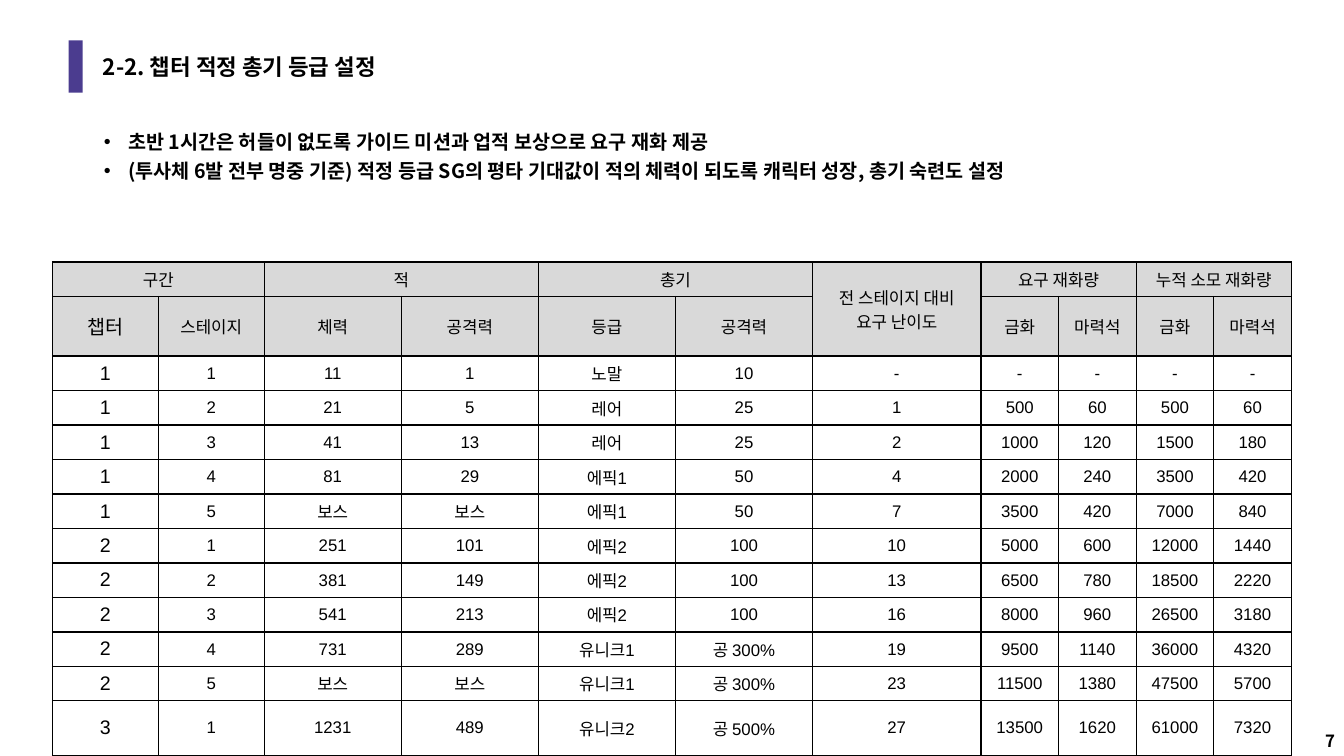
"""Builds the slide on recommended gun grades per chapter."""
from dataclasses import dataclass

from lxml.etree import SubElement
from pptx import Presentation
from pptx.dml.color import RGBColor as RGB
from pptx.enum.shapes import MSO_SHAPE as Shape
from pptx.enum.text import MSO_ANCHOR as Anchor, MSO_AUTO_SIZE as AutoSize, PP_ALIGN as Align
from pptx.oxml import parse_xml
from pptx.oxml.ns import nsdecls, qn
from pptx.util import Inches, Pt


@dataclass(frozen=True)
class Theme:
    black: RGB = RGB(0x00, 0x00, 0x00)
    accent: RGB = RGB(0x4B, 0x3C, 0x8F)
    header: RGB = RGB(0xD9, 0xD9, 0xD9)
    border: str = "000000"
    korean: str = "Noto Sans CJK KR"
    latin: str = "Arial"
    title: int = 20
    bullet: int = 14
    chapter: int = 14
    cell: int = 12
    page: int = 12


@dataclass(frozen=True)
class Box:
    left: float
    top: float
    width: float
    height: float

    def emu(self) -> tuple:
        return tuple(Inches(v) for v in (self.left, self.top, self.width, self.height))


@dataclass(frozen=True)
class Group:
    text: str
    col: int
    rows: int = 1
    cols: int = 2


THEME = Theme()
BULLETS = [
    "초반 1시간은 허들이 없도록 가이드 미션과 업적 보상으로 요구 재화 제공",
    "(투사체 6발 전부 명중 기준) 적정 등급 SG의 평타 기대값이 적의 체력이 되도록 캐릭터 성장, 총기 숙련도 설정",
]
GROUPS = [
    Group("구간", 0),
    Group("적", 2),
    Group("총기", 4),
    Group("전 스테이지 대비 요구 난이도", 6, rows=2, cols=1),
    Group("요구 재화량", 7),
    Group("누적 소모 재화량", 9),
]
COLUMNS = ["챕터", "스테이지", "체력", "공격력", "등급", "공격력", "",
           "금화", "마력석", "금화", "마력석"]
STAGES = [
    (1, 1, 11, 1, "노말", 10, "-", "-", "-", "-", "-"),
    (1, 2, 21, 5, "레어", 25, 1, 500, 60, 500, 60),
    (1, 3, 41, 13, "레어", 25, 2, 1000, 120, 1500, 180),
    (1, 4, 81, 29, "에픽1", 50, 4, 2000, 240, 3500, 420),
    (1, 5, "보스", "보스", "에픽1", 50, 7, 3500, 420, 7000, 840),
    (2, 1, 251, 101, "에픽2", 100, 10, 5000, 600, 12000, 1440),
    (2, 2, 381, 149, "에픽2", 100, 13, 6500, 780, 18500, 2220),
    (2, 3, 541, 213, "에픽2", 100, 16, 8000, 960, 26500, 3180),
    (2, 4, 731, 289, "유니크1", "공 300%", 19, 9500, 1140, 36000, 4320),
    (2, 5, "보스", "보스", "유니크1", "공 300%", 23, 11500, 1380, 47500, 5700),
    (3, 1, 1231, 489, "유니크2", "공 500%", 27, 13500, 1620, 61000, 7320),
]
COL_WIDTHS = [1.05] * 2 + [1.36] * 4 + [1.67] + [0.77] * 4
ROW_HEIGHTS = [0.34, 0.59] + [0.34] * (len(STAGES) - 1) + [0.54]


def add_run(p, text: str, size: int, font: str, bold: bool = False):
    r = p.add_run()
    r.text = text
    r.font.size = Pt(size)
    r.font.bold = bold
    r.font.color.rgb = THEME.black
    r.font.name = font
    SubElement(r.font._element, qn("a:ea"), typeface=THEME.korean)
    return r


def place(sp, box: Box, anchor: Anchor):
    sp.left, sp.top, sp.width, sp.height = box.emu()
    tf = sp.text_frame
    tf.word_wrap = True
    tf.auto_size = AutoSize.NONE
    tf.vertical_anchor = anchor
    return tf


def add_heading(s) -> None:
    bar = s.shapes.add_shape(Shape.RECTANGLE, *Box(0.68, 0.4, 0.14, 0.52).emu())
    bar.shadow.inherit = False
    bar.fill.solid()
    bar.fill.fore_color.rgb = THEME.accent
    bar.line.fill.background()
    p = place(s.shapes.title, Box(0.92, 0.4, 11.5, 0.52), Anchor.MIDDLE).paragraphs[0]
    p.alignment = Align.LEFT
    p.line_spacing = 0.9
    r = add_run(p, "2-2. 챕터 적정 총기 등급 설정", THEME.title, THEME.korean, bold=True)
    r.font._element.set("cap", "small")


def add_bullets(s) -> None:
    tf = place(s.placeholders[1], Box(0.92, 1.18, 11.5, 1.12), Anchor.TOP)
    for i, text in enumerate(BULLETS):
        p = tf.add_paragraph() if i else tf.paragraphs[0]
        p.line_spacing = 1.25
        p.space_before = Pt(0)
        pPr = p._p.get_or_add_pPr()
        pPr.set("marL", str(Inches(0.25)))
        pPr.set("indent", str(Inches(-0.24)))
        add_run(p, text, THEME.bullet, THEME.korean, bold=True)


def style_cell(cell, header: bool) -> None:
    cell.vertical_anchor = Anchor.MIDDLE
    if header:
        cell.fill.solid()
        cell.fill.fore_color.rgb = THEME.header
    else:
        cell.fill.background()
    tcPr = cell._tc.get_or_add_tcPr()
    for i, side in enumerate("LRTB"):
        tcPr.insert(i, parse_xml(
            f'<a:ln{side} {nsdecls("a")} w="{Pt(1)}"><a:solidFill>'
            f'<a:srgbClr val="{THEME.border}"/></a:solidFill></a:ln{side}>'))


def write_cell(cell, text: str, size: int) -> None:
    p = cell.text_frame.paragraphs[0]
    p.alignment = Align.CENTER
    add_run(p, text, size, THEME.latin)


def add_stage_table(s) -> None:
    box = Box(0.52, 2.6, sum(COL_WIDTHS), sum(ROW_HEIGHTS))
    table = s.shapes.add_table(len(ROW_HEIGHTS), len(COL_WIDTHS), *box.emu()).table
    table.first_row = table.horz_banding = False
    for col, width in zip(table.columns, COL_WIDTHS):
        col.width = Inches(width)
    for i, (row, height) in enumerate(zip(table.rows, ROW_HEIGHTS)):
        row.height = Inches(height)
        for cell in row.cells:
            style_cell(cell, header=i < 2)
    for g in GROUPS:
        cell = table.cell(0, g.col)
        cell.merge(table.cell(g.rows - 1, g.col + g.cols - 1))
        write_cell(cell, g.text, THEME.cell)
    for i, values in enumerate([COLUMNS, *STAGES], start=1):
        for j, value in enumerate(values):
            if value != "":
                write_cell(table.cell(i, j), str(value), THEME.cell if j else THEME.chapter)


def add_page_number(s) -> None:
    box = Box(12.42, 7.1, 0.92, 0.4)
    p = place(s.shapes.add_textbox(*box.emu()), box, Anchor.BOTTOM).paragraphs[0]
    p.alignment = Align.RIGHT
    add_run(p, "7", THEME.page, THEME.korean, bold=True)


prs = Presentation()
prs.slide_width, prs.slide_height = Inches(13.33), Inches(7.5)
s = prs.slides.add_slide(prs.slide_layouts[1])
add_heading(s)
add_bullets(s)
add_stage_table(s)
add_page_number(s)
prs.save("out.pptx")
